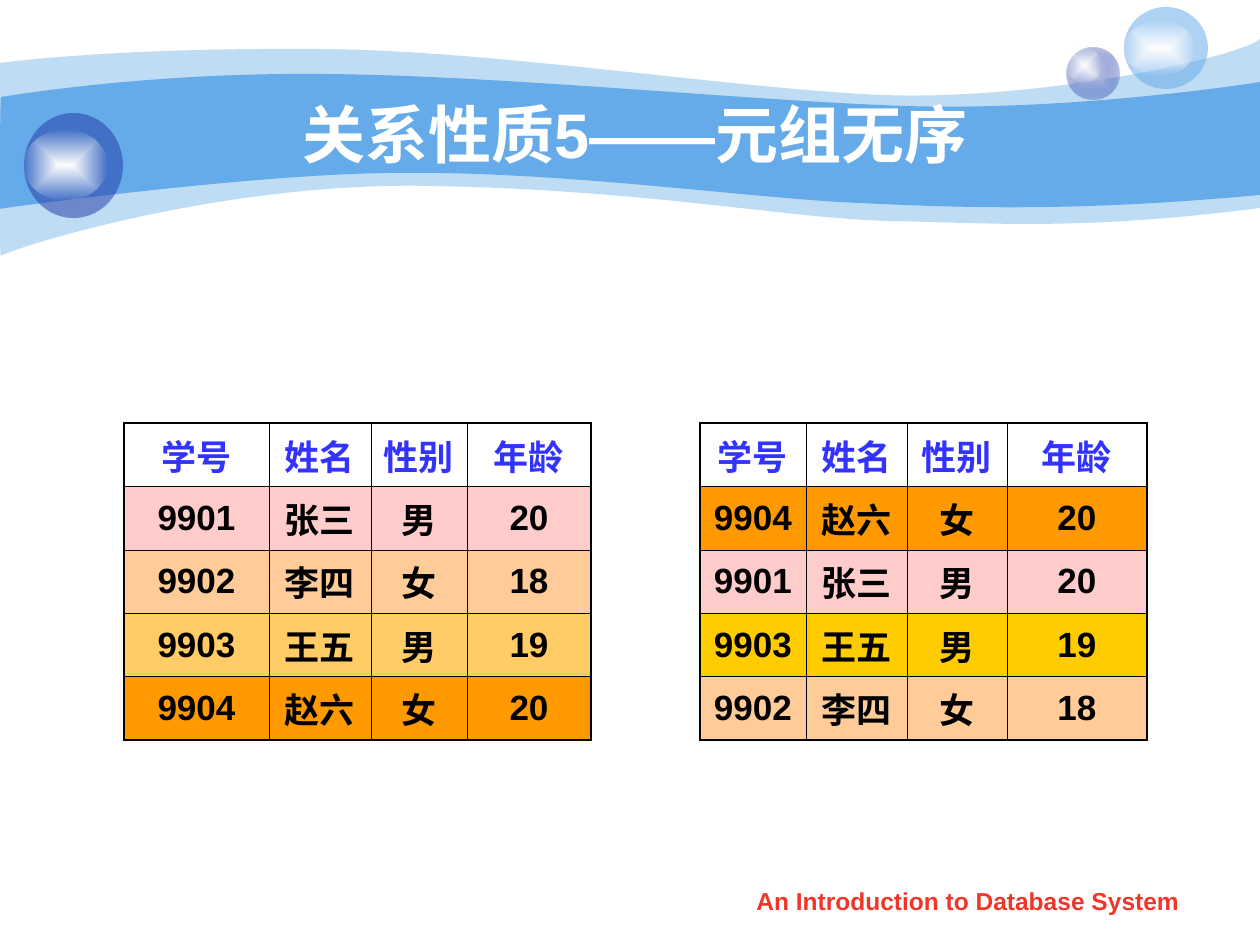
from lxml import etree
from pptx import Presentation
from pptx.dml.color import RGBColor
from pptx.enum.shapes import MSO_SHAPE
from pptx.enum.text import MSO_ANCHOR, MSO_AUTO_SIZE, PP_ALIGN
from pptx.oxml import parse_xml
from pptx.oxml.ns import qn
from pptx.util import Pt

SCALE = 914400 / 126  # EMU in one px
ELLIPSE = MSO_SHAPE.OVAL
CENTER = PP_ALIGN.CENTER
MIDDLE = MSO_ANCHOR.MIDDLE
TOP = MSO_ANCHOR.TOP
NO_AUTOFIT = MSO_AUTO_SIZE.NONE
NAMESPACE = 'xmlns:a="http://schemas.openxmlformats.org/drawingml/2006/main"'
FONT = "Arial"
COLORS = {
    "sky": "65AAE9", "navy": "233DA9", "mist": "C7CEE9", "white": "FFFFFF",
    "black": "000000", "header": "3333FF", "footer": "F03628",
    "pink": "FFCCCC", "peach": "FFCC99", "sand": "FFCC66",
    "gold": "FFCC00", "orange": "FF9900",
}

# Each wave: start point, then curves (two controls and an end) or lines (an end)
PALE_WAVE = [
    [(0, 63)],
    [(30, 59), (135, 48), (311, 49)], [(486, 49), (725, 88), (881, 95)],
    [(1036, 101), (1235, 59), (1260, 39)], [(1260, 208)],
    [(1081, 231), (992, 223), (888, 221)], [(784, 218), (649, 190), (432, 186)],
    [(217, 181), (5, 251), (1, 256)], [(-1, 262), (0, 95), (0, 63)],
]
DEEP_WAVE = [
    [(1, 97)],
    [(3, 97), (139, 73), (312, 74)], [(486, 74), (750, 101), (905, 106)],
    [(1060, 111), (1230, 87), (1260, 82)], [(1260, 195)],
    [(1075, 212), (964, 208), (859, 203)], [(755, 199), (563, 171), (399, 173)],
    [(256, 173), (-3, 209), (-1, 209)], [(0, 209), (0, 97), (1, 97)],
]

HEADINGS = ["学号", "姓名", "性别", "年龄"]
STUDENTS = {
    "9901": ["张三", "男", "20"],
    "9902": ["李四", "女", "18"],
    "9903": ["王五", "男", "19"],
    "9904": ["赵六", "女", "20"],
}
ORDERED_ROWS = [("9901", "pink"), ("9902", "peach"), ("9903", "sand"), ("9904", "orange")]
SHUFFLED_ROWS = [("9904", "orange"), ("9901", "pink"), ("9903", "gold"), ("9902", "peach")]
ROW_HEIGHT = 55
OUTER_BORDER, INNER_BORDER = Pt(1.08), Pt(0.45)


def emu(*lengths):
    return [round(length * SCALE) for length in lengths]


def rgb(name):
    return RGBColor.from_string(COLORS[name])


def write_text(frame, text, size, color, anchor=MIDDLE):
    frame.word_wrap = True
    frame.vertical_anchor = anchor
    paragraph = frame.paragraphs[0]
    paragraph.alignment = CENTER
    run = paragraph.add_run()
    run.text = text
    run.font.name = FONT
    run.font.size = Pt(size)
    run.font.bold = True
    run.font.color.rgb = rgb(color)


def paint(shape, color, opacity=100):
    shape.shadow.inherit = False
    shape.line.fill.background()
    shape.fill.solid()
    shape.fill.fore_color.rgb = rgb(color)
    if opacity < 100:
        srgb = shape._element.spPr.find(".//" + qn("a:srgbClr"))
        etree.SubElement(srgb, qn("a:alpha")).set("val", str(opacity * 1000))


def paint_glow(shape, inner, outer, opacity):
    """Gradient from the centre to a see-through edge."""
    paint(shape, outer)
    solid = shape._element.spPr.find(qn("a:solidFill"))
    gradient = parse_xml(
        f'<a:gradFill {NAMESPACE} rotWithShape="1"><a:gsLst>'
        f'<a:gs pos="0"><a:srgbClr val="{COLORS[inner]}"/></a:gs>'
        f'<a:gs pos="100000"><a:srgbClr val="{COLORS[outer]}">'
        f'<a:alpha val="{opacity * 1000}"/></a:srgbClr></a:gs></a:gsLst>'
        '<a:path path="rect">'
        '<a:fillToRect l="50000" t="50000" r="50000" b="50000"/></a:path></a:gradFill>')
    solid.getparent().replace(solid, gradient)


def add_wave(slide, left, top, segments, opacity):
    """Build the outline through all points, then join each three into a curve."""
    points = [emu(left + x, top + y) for segment in segments for x, y in segment]
    builder = slide.shapes.build_freeform(*points[0])
    builder.add_line_segments(points[1:], close=True)
    wave = builder.convert_to_shape()
    lines = iter(wave._element.findall(".//" + qn("a:lnTo")))
    for segment in segments[1:]:
        first, *others = [next(lines) for _ in segment]
        if others:
            first.tag = qn("a:cubicBezTo")
        for line in others:
            first.append(line[0])
            line.getparent().remove(line)
    paint(wave, "sky", opacity)


def add_ball(slide, left, top, width, height, glow, color, opacity, core=None):
    """A ball with a white glow; glow is (top offset, width, height)."""
    group = slide.shapes.add_group_shape()
    ball = group.shapes.add_shape(ELLIPSE, *emu(left, top, width, height))
    if core:
        paint_glow(ball, core, color, opacity)
    else:
        paint(ball, color, opacity)
    glow_top, glow_width, glow_height = glow
    light = group.shapes.add_shape(
        ELLIPSE, *emu(left, top + glow_top, glow_width, glow_height))
    paint_glow(light, "white", "white", 0)


def add_header_band(slide, left, top):
    add_wave(slide, left, top, PALE_WAVE, 41)
    add_wave(slide, left, top, DEEP_WAVE, 100)
    add_ball(slide, left + 1067, top + 48, 53, 51, (0, 35, 34), "navy", 31, core="mist")
    add_ball(slide, left + 1124, top + 7, 84, 82, (14, 71, 54), "sky", 53)
    add_ball(slide, left + 24, top + 113, 99, 105, (17, 83, 70), "navy", 53)


def place_title(slide, left, top, width, height):
    title = slide.shapes.title
    slide.shapes._spTree.append(title._element)  # in front of the waves
    title.left, title.top, title.width, title.height = emu(left, top, width, height)
    title.text_frame.auto_size = NO_AUTOFIT
    write_text(title.text_frame, "关系性质5——元组无序", 36, "white")


def set_borders(cell, outer_sides):
    properties = cell._tc.get_or_add_tcPr()
    for side in "LRTB":
        width = OUTER_BORDER if side in outer_sides else INNER_BORDER
        properties.append(parse_xml(
            f'<a:ln{side} {NAMESPACE} w="{width}"><a:solidFill>'
            f'<a:srgbClr val="{COLORS["black"]}"/></a:solidFill></a:ln{side}>'))


def add_student_table(slide, left, top, column_widths, student_rows):
    rows = [(HEADINGS, None)]
    rows += [([number] + STUDENTS[number], fill) for number, fill in student_rows]
    last_row, last_column = len(rows) - 1, len(HEADINGS) - 1
    box = emu(left, top, sum(column_widths), ROW_HEIGHT * len(rows))
    table = slide.shapes.add_table(len(rows), len(HEADINGS), *box).table
    table.first_row = table.horz_banding = False
    for column, width in zip(table.columns, column_widths):
        column.width = emu(width)[0]
    for r, (values, fill) in enumerate(rows):
        for c, value in enumerate(values):
            cell = table.cell(r, c)
            edges = {"L": c == 0, "R": c == last_column, "T": r == 0, "B": r == last_row}
            set_borders(cell, [side for side, is_outer in edges.items() if is_outer])
            if fill:
                cell.fill.solid()
                cell.fill.fore_color.rgb = rgb(fill)
            else:
                cell.fill.background()
            cell.vertical_anchor = MIDDLE
            write_text(cell.text_frame, value, 20, "black" if fill else "header", None)


def add_footer(slide, left, top, width, height):
    footer = slide.shapes.add_textbox(*emu(left, top, width, height))
    write_text(footer.text_frame, "An Introduction to Database System", 14, "footer", TOP)


def main():
    presentation = Presentation()
    presentation.slide_width, presentation.slide_height = emu(1260, 945)
    slide = presentation.slides.add_slide(presentation.slide_layouts[5])
    add_header_band(slide, 0, 0)
    add_footer(slide, 720, 880, 496, 44)
    place_title(slide, 126, 94, 1018, 78)
    add_student_table(slide, 124, 423, [145, 102, 96, 124], ORDERED_ROWS)
    add_student_table(slide, 700, 423, [106, 101, 100, 140], SHUFFLED_ROWS)
    presentation.save("out.pptx")


if __name__ == "__main__":
    main()
